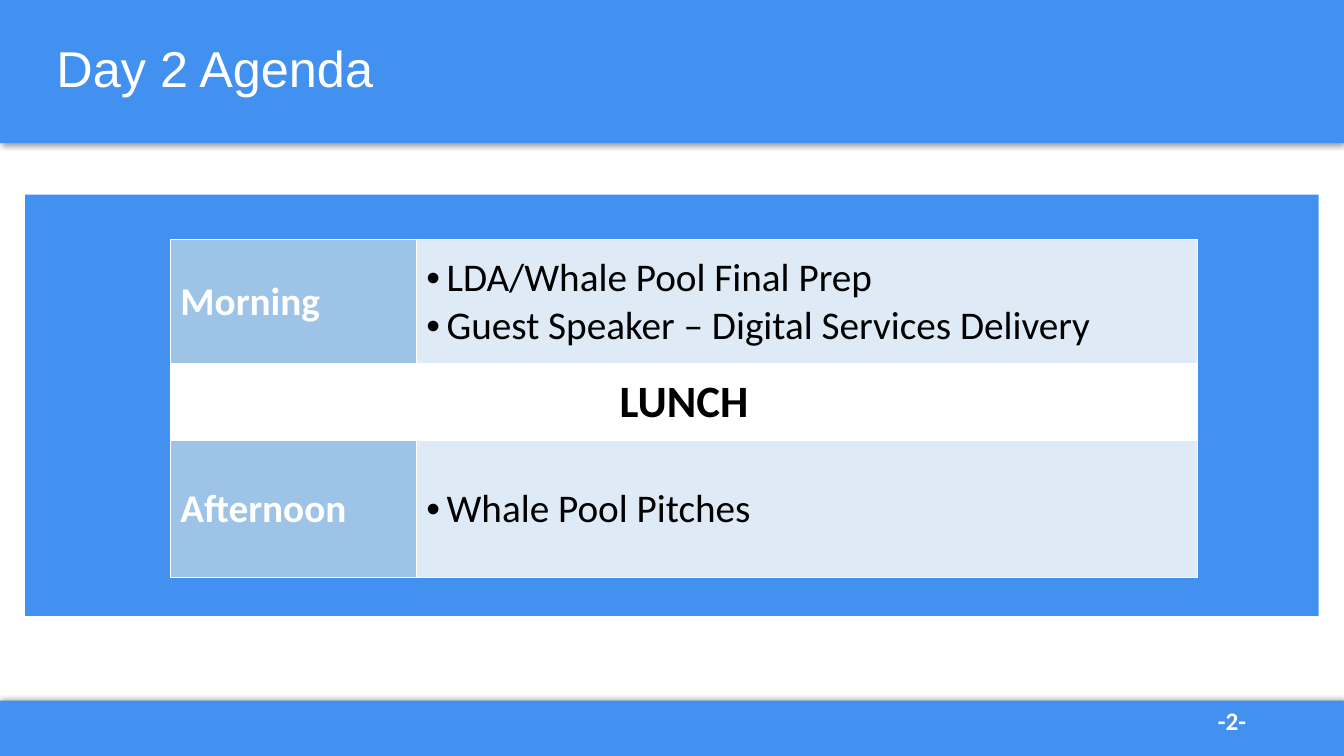
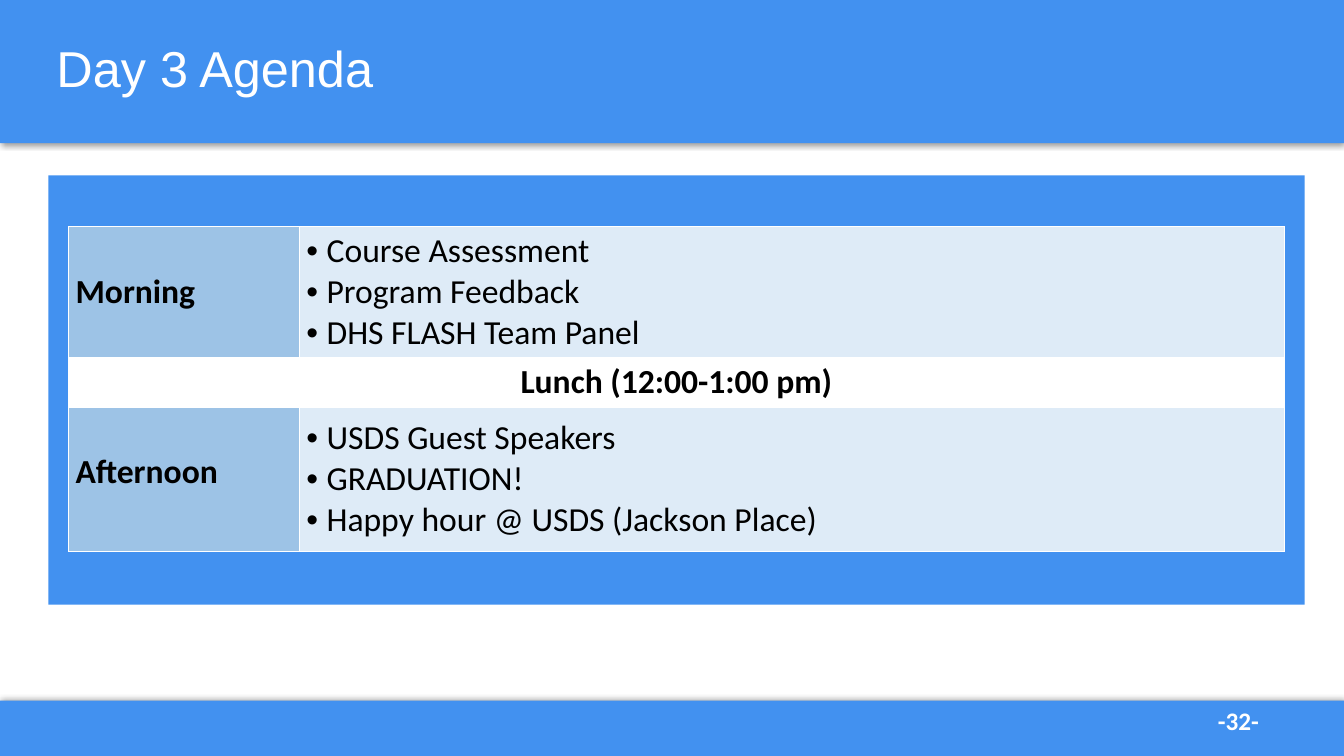
import pptx
import pptx.util
import pptx.dml.color
import pptx.enum.shapes
import pptx.enum.text
import pptx.oxml
import pptx.oxml.ns

Inches, Pt = pptx.util.Inches, pptx.util.Pt
RGB = pptx.dml.color.RGBColor
ALIGN = pptx.enum.text.PP_ALIGN
MIDDLE = pptx.enum.text.MSO_ANCHOR.MIDDLE
NS = pptx.oxml.ns.nsdecls("a")

BLUE = RGB(0x42, 0x91, 0xF0)
MID = RGB(0x9D, 0xC3, 0xE6)
PALE = RGB(0xDE, 0xEB, 0xF7)
WHITE = RGB(0xFF, 0xFF, 0xFF)
BLACK = RGB(0, 0, 0)

# Content: each row is (label, items); a row without items spans the table
DAYS = [
    {
        "title": "Day 2 Agenda", "page": "-2-",
        "panel": (0.25, 1.93, 12.83, 4.18),
        "table": (1.69, 2.38), "cols": (2.44, 7.75), "heights": (1.23, 0.76, 1.36),
        "size": 28, "break": 32, "label": WHITE, "inset": (0.1, 0.05), "lift": 0,
        "rows": [
            ("Morning", ["LDA/Whale Pool Final Prep",
                         "Guest Speaker – Digital Services Delivery"]),
            ("LUNCH", []),
            ("Afternoon", ["Whale Pool Pitches"]),
        ],
    },
    {
        "title": "Day 3 Agenda", "page": "-32-",
        "panel": (0.48, 1.74, 12.46, 4.26),
        "table": (0.68, 2.25), "cols": (2.29, 9.77), "heights": (1.3, 0.49, 1.43),
        "size": 24, "break": 24, "label": BLACK, "inset": (0.07, 0.04), "lift": 0.14,
        "rows": [
            ("Morning", ["Course Assessment", "Program Feedback", "DHS FLASH Team Panel"]),
            ("Lunch (12:00-1:00 pm)", []),
            ("Afternoon", ["USDS Guest Speakers", "GRADUATION!",
                           "Happy hour @ USDS (Jackson Place)"]),
        ],
    },
]

# Bands: box and shadow direction in degrees
BANDS = [((0, 6.95, 13.33, 0.55), 270), ((0, 0, 13.33, 1.42), 90)]


def style(para, size, color, bold):
    for run in para.runs:
        font = run.font
        font.name, font.size, font.bold = "Calibri", Pt(size), bold
        font.color.rgb = color


def add_rect(slide, box):
    rect = slide.shapes.add_shape(pptx.enum.shapes.MSO_SHAPE.RECTANGLE, *map(Inches, box))
    rect.shadow.inherit = False
    rect.fill.solid()
    rect.fill.fore_color.rgb = BLUE
    rect.line.fill.background()
    return rect


def set_title(layout):
    """Place and style the title once, on the layout."""
    for holder in list(layout.placeholders):
        if holder.placeholder_format.idx:
            holder.element.getparent().remove(holder.element)
    title = layout.placeholders[0]
    title.left, title.top, title.width, title.height = map(Inches, (0.46, -0.02, 12.42, 1.45))
    title.text_frame.vertical_anchor = MIDDLE
    title.text_frame.auto_size = pptx.enum.text.MSO_AUTO_SIZE.NONE
    body = title.element.txBody
    level = pptx.oxml.parse_xml(
        f'<a:lvl1pPr {NS} algn="l"><a:lnSpc><a:spcPct val="90000"/></a:lnSpc>'
        f'<a:defRPr sz="3600"><a:solidFill><a:srgbClr val="{WHITE}"/></a:solidFill>'
        '<a:latin typeface="Arial"/></a:defRPr></a:lvl1pPr>')
    styles = body.find(pptx.oxml.ns.qn("a:lstStyle"))
    for old in list(styles):
        styles.remove(old)
    styles.append(level)


def set_bands(layout, slide):
    """Draw the bands on a slide, then move them to its layout."""
    for spot, (box, angle) in enumerate(BANDS):
        band = add_rect(slide, box)
        effects = band.element.spPr.find(pptx.oxml.ns.qn("a:effectLst"))
        effects.append(pptx.oxml.parse_xml(
            f'<a:outerShdw {NS} blurRad="{Pt(4)}" dist="{Pt(1)}" dir="{angle * 60000}"'
            ' rotWithShape="0"><a:srgbClr val="000000"><a:alpha val="40000"/>'
            '</a:srgbClr></a:outerShdw>'))
        layout.shapes.element.insert(2 + spot, band.element)


def add_page(slide, text):
    box = slide.shapes.add_textbox(*map(Inches, (11.98, 6.95, 0.98, 0.4)))
    box.text_frame.word_wrap = True
    box.text_frame.text = text
    style(box.text_frame.paragraphs[0], 18, WHITE, True)


def set_bullet(para):
    props = para._p.get_or_add_pPr()
    props.set("marL", str(Inches(0.2)))
    props.set("indent", str(-Inches(0.2)))
    props.append(pptx.oxml.parse_xml(f'<a:buFont {NS} typeface="Arial"/>'))
    props.append(pptx.oxml.parse_xml(f'<a:buChar {NS} char="•"/>'))


def set_cell(cell, fill, inset):
    cell.fill.solid()
    cell.fill.fore_color.rgb = fill
    cell.vertical_anchor = MIDDLE
    cell.margin_left = cell.margin_right = Inches(inset[0])
    cell.margin_top = cell.margin_bottom = Inches(inset[1])
    props = cell._tc.get_or_add_tcPr()
    for spot, side in enumerate("LRTB"):
        props.insert(spot, pptx.oxml.parse_xml(
            f'<a:ln{side} {NS} w="{Pt(1)}"><a:solidFill><a:srgbClr val="{WHITE}"/>'
            f'</a:solidFill></a:ln{side}>'))


def add_agenda(slide, day):
    cols, heights = day["cols"], day["heights"]
    size = (sum(cols), sum(heights))
    table = slide.shapes.add_table(
        len(heights), len(cols), *map(Inches, day["table"] + size)).table
    table.first_row = table.horz_banding = False
    for col, width in zip(table.columns, cols):
        col.width = Inches(width)
    for row, height, (label, items) in zip(table.rows, heights, day["rows"]):
        row.height = Inches(height)
        head, rest = row.cells
        fills = (MID, PALE) if items else (WHITE, WHITE)
        for cell, fill in zip((head, rest), fills):
            set_cell(cell, fill, day["inset"])
        head.text_frame.text = label
        para = head.text_frame.paragraphs[0]
        if not items:
            head.merge(rest)
            para.alignment = ALIGN.CENTER
            style(para, day["break"], BLACK, True)
            continue
        style(para, day["size"], day["label"], True)
        rest.text_frame.text = "\n".join(items)
        for para in rest.text_frame.paragraphs:
            style(para, day["size"], BLACK, False)
            set_bullet(para)
    # The last label sits a little above the middle
    head.margin_bottom = Inches(day["inset"][1] + day["lift"])


def main():
    deck = pptx.Presentation()
    deck.slide_width, deck.slide_height = Inches(13.33), Inches(7.5)
    layout = deck.slide_layouts[5]
    set_title(layout)
    for day in DAYS:
        slide = deck.slides.add_slide(layout)
        if day is DAYS[0]:
            set_bands(layout, slide)
        slide.shapes.title.text_frame.text = day["title"]
        add_rect(slide, day["panel"])
        add_agenda(slide, day)
        add_page(slide, day["page"])
    deck.save("out.pptx")


if __name__ == "__main__":
    main()
